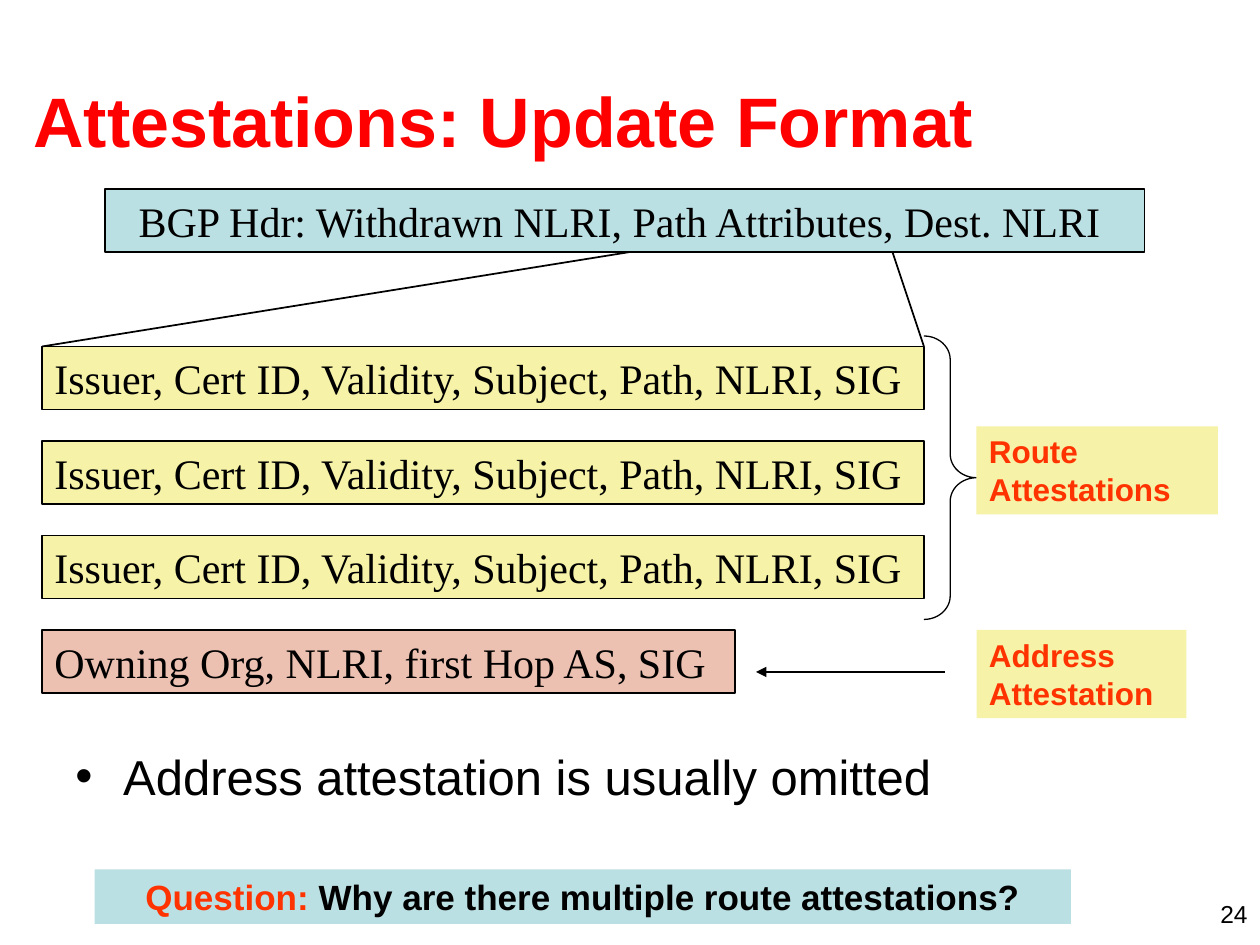
from lxml import etree
from pptx import Presentation
from pptx.dml.color import RGBColor
from pptx.enum.shapes import MSO_CONNECTOR, MSO_SHAPE
from pptx.enum.text import MSO_ANCHOR, PP_ALIGN
from pptx.oxml.ns import qn
from pptx.util import Inches, Pt

RECT, BRACE = MSO_SHAPE.RECTANGLE, MSO_SHAPE.RIGHT_BRACE
STRAIGHT = MSO_CONNECTOR.STRAIGHT
TOP, MIDDLE = MSO_ANCHOR.TOP, MSO_ANCHOR.MIDDLE
LEFT, CENTER, RIGHT = PP_ALIGN.LEFT, PP_ALIGN.CENTER, PP_ALIGN.RIGHT

COLORS = {
    "title": "FF0000",
    "accent": "FF3300",
    "ink": "000000",
    "header": "BBE0E3",
    "route": "F6F2A8",
    "address": "EDC1B1",
}
SANS, SERIF = "Arial", "Times New Roman"
COLUMNS, ROWS = 120, 90
FIELD_LEFT, FIELD_HEIGHT, FIELD_PITCH = 4, 6, 9
FIRST_ROUTE_ROW, ROUTE_WIDTH = 33, 84
LABEL_LEFT = 93
ROUTE_FIELDS = "Issuer, Cert ID, Validity, Subject, Path, NLRI, SIG"


def grid(*cells):
    """Turn grid columns and rows into lengths."""
    return [Inches(cell / 12) for cell in cells]


def color(name):
    """Look up a named colour."""
    return RGBColor.from_string(COLORS[name])


def write(frame, runs, size, font=SANS, bold=False, align=LEFT, anchor=TOP, wrap=True):
    """Fill a text frame with one paragraph of coloured runs."""
    frame.word_wrap = wrap
    frame.vertical_anchor = anchor
    paragraph = frame.paragraphs[0]
    paragraph.alignment = align
    for index, (words, ink) in enumerate(runs):
        if index and words.startswith("\n"):
            paragraph.add_line_break()
        run = paragraph.add_run()
        run.text = words.lstrip("\n")
        run.font.size = Pt(size)
        run.font.name = font
        run.font.bold = bold
        run.font.color.rgb = color(ink)
    return paragraph


def add_text(slide, cells, runs, size, **style):
    """Place free text on the grid."""
    box = slide.shapes.add_textbox(*grid(*cells))
    return write(box.text_frame, runs, size, **style)


def add_panel(slide, cells, fill):
    """Place a flat filled rectangle without an outline."""
    panel = slide.shapes.add_shape(RECT, *grid(*cells))
    panel.shadow.inherit = False
    panel.fill.solid()
    panel.fill.fore_color.rgb = color(fill)
    panel.line.fill.background()
    return panel


def add_field_row(slide, left, top, width, fill, words, align=LEFT):
    """Place an outlined row of message fields."""
    row = add_panel(slide, (left, top, width, FIELD_HEIGHT), fill)
    row.line.color.rgb = color("ink")
    row.line.width = Pt(1)
    write(row.text_frame, [(words, "ink")], 24, SERIF, align=align, anchor=MIDDLE, wrap=False)


def add_label(slide, cells, fill, runs, size, align=LEFT):
    """Place a bold label on a filled panel."""
    label = add_panel(slide, cells, fill)
    write(label.text_frame, runs, size, bold=True, align=align)


def add_line(slide, cells, width, arrow=False):
    """Draw a straight line, with an arrowhead at its end if asked."""
    line = slide.shapes.add_connector(STRAIGHT, *grid(*cells))
    line.line.color.rgb = color("ink")
    line.line.width = Pt(width)
    if arrow:
        etree.SubElement(line.line._get_or_add_ln(), qn("a:tailEnd"), type="triangle")
    etree.SubElement(line._element.spPr, qn("a:effectLst"))


def add_brace(slide, cells):
    """Draw the right brace that groups the route rows."""
    brace = slide.shapes.add_shape(BRACE, *grid(*cells))
    brace.shadow.inherit = False
    brace.adjustments[0] = 0.45
    brace.fill.background()
    brace.line.color.rgb = color("ink")
    brace.line.width = Pt(0.75)


def add_bullet(paragraph):
    """Give a paragraph a round bullet and a hanging indent."""
    properties = paragraph._p.get_or_add_pPr()
    properties.set("marL", str(Inches(0.38)))
    properties.set("indent", str(Inches(-0.38)))
    etree.SubElement(properties, qn("a:buFont"), typeface=SANS)
    etree.SubElement(properties, qn("a:buChar"), char="•")


def main():
    """Build the slide and save it."""
    deck = Presentation()
    deck.slide_width, deck.slide_height = grid(COLUMNS, ROWS)
    slide = deck.slides.add_slide(deck.slide_layouts[6])

    add_text(slide, (2, 3.9, 115, 15), [("Attestations: Update Format", "title")], 40,
             bold=True, anchor=MIDDLE)
    add_bullet(add_text(slide, (6, 70.5, 108, 8.5),
                        [("Address attestation is usually omitted", "ink")], 28))

    add_field_row(slide, 10, 18, 99, "header",
                  "BGP Hdr: Withdrawn NLRI, Path Attributes, Dest. NLRI ", CENTER)
    for index in range(3):
        add_field_row(slide, FIELD_LEFT, FIRST_ROUTE_ROW + index * FIELD_PITCH,
                      ROUTE_WIDTH, "route", ROUTE_FIELDS)
    address_row = FIRST_ROUTE_ROW + 3 * FIELD_PITCH
    add_field_row(slide, FIELD_LEFT, address_row, 66, "address",
                  "Owning Org, NLRI, first Hop AS, SIG")

    route_right = FIELD_LEFT + ROUTE_WIDTH
    add_line(slide, (60, 24, FIELD_LEFT, FIRST_ROUTE_ROW), 1)
    add_line(slide, (85, 24, route_right, FIRST_ROUTE_ROW), 1)
    add_brace(slide, (route_right, 32, LABEL_LEFT - route_right, 27))
    add_line(slide, (90, 64, 72, 64), 0.75, arrow=True)

    add_label(slide, (LABEL_LEFT, 40.6, 23, 8.4), "route",
              [("Route", "accent"), ("\nAttestations", "accent")], 18)
    add_label(slide, (LABEL_LEFT, address_row, 20, 8.4), "route",
              [("Address Attestation", "accent")], 18)
    add_label(slide, (9, 82.8, 93, 5.2), "header",
              [("Question:", "accent"), (" Why are there multiple route attestations?", "ink")],
              20, CENTER)
    add_text(slide, (92, 85, 28, 3), [("24", "ink")], 14, align=RIGHT)

    deck.save("out.pptx")


if __name__ == "__main__":
    main()
